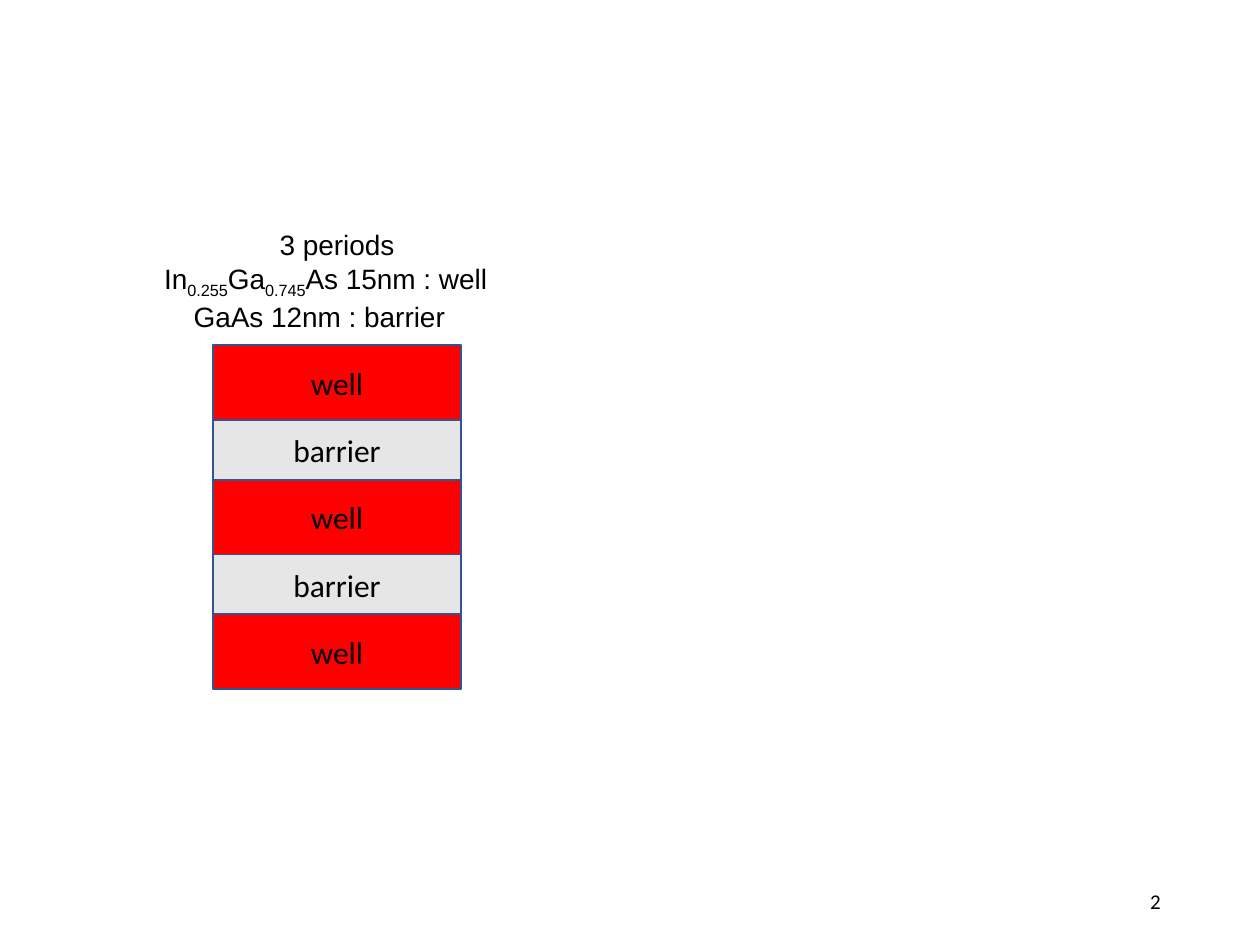
from pptx import Presentation
from pptx import util as u
from pptx.dml.color import RGBColor
from pptx.enum import shapes, text

WELL = ("well", 15, "FF0000")        # name, thickness in nm, fill
BARRIER = ("barrier", 12, "E7E6E6")
PERIODS = 3


def color(hex_value):
    return RGBColor.from_string(hex_value)


def add_run(paragraph, words, size, face, baseline=None):
    run = paragraph.add_run()
    run.text = words
    run.font.size = u.Pt(size)
    run.font.name = face
    run.font.color.rgb = color("000000")
    if baseline:
        run.font._element.set("baseline", str(baseline * 1000))


def add_text_frame(parent, box):
    frame = parent.add_textbox(*box).text_frame
    frame.word_wrap = True
    frame.vertical_anchor = text.MSO_ANCHOR.MIDDLE
    return frame


def add_recipe(parent, box):
    """Centred layer recipe; each line has its own left indent in inches."""
    sub = -25
    lines = [
        (0.28, [("3 periods", None)]),
        (0.1, [("In", None), ("0.255", sub), ("Ga", None), ("0.745", sub),
               ("As 15nm : well", None)]),
        (0, [("GaAs 12nm : barrier", None)]),
    ]
    frame = add_text_frame(parent, box)
    frame.margin_left, frame.margin_right = 0, u.Inches(0.28)
    for number, (indent, runs) in enumerate(lines):
        line = frame.add_paragraph() if number else frame.paragraphs[0]
        line.alignment = text.PP_ALIGN.CENTER
        line._p.get_or_add_pPr().set("marL", str(u.Inches(indent)))
        for words, baseline in runs:
            add_run(line, words, 16, "Arial", baseline)


def add_layer(parent, box, name, fill):
    layer = parent.add_shape(shapes.MSO_SHAPE.RECTANGLE, *box)
    layer.shadow.inherit = False
    layer.fill.solid()
    layer.fill.fore_color.rgb = color(fill)
    layer.line.color.rgb = color("325491")
    layer.line.width = u.Pt(1)
    layer.text_frame.vertical_anchor = text.MSO_ANCHOR.MIDDLE
    label = layer.text_frame.paragraphs[0]
    label.alignment = text.PP_ALIGN.CENTER
    add_run(label, name, 18, "Calibri")


def add_stack(parent, box):
    """Alternating wells and barriers, drawn to scale within the box."""
    left, top, width, height = box
    layers = [WELL] + [BARRIER, WELL] * (PERIODS - 1)
    per_nm = height / sum(thickness for _, thickness, _ in layers)
    for name, thickness, fill in layers:
        depth = int(thickness * per_nm)
        add_layer(parent, (left, top, width, depth), name, fill)
        top += depth


def add_page_number(parent, box, number):
    line = add_text_frame(parent, box).paragraphs[0]
    line.alignment = text.PP_ALIGN.RIGHT
    add_run(line, number, 12, "Calibri")


def inches(*lengths):
    return tuple(u.Inches(length) for length in lengths)


def main():
    deck = Presentation()
    deck.slide_width, deck.slide_height = inches(10, 7.5)
    slide = deck.slides.add_slide(deck.slide_layouts[6])
    add_page_number(slide.shapes, inches(7.06, 6.95, 2.25, 0.4), "2")
    quantum_wells = slide.shapes.add_group_shape().shapes
    add_recipe(quantum_wells, inches(1.06, 0.87, 3.23, 2.71))
    add_stack(quantum_wells, inches(1.69, 2.74, 1.97, 2.73))
    deck.save("out.pptx")


if __name__ == "__main__":
    main()
